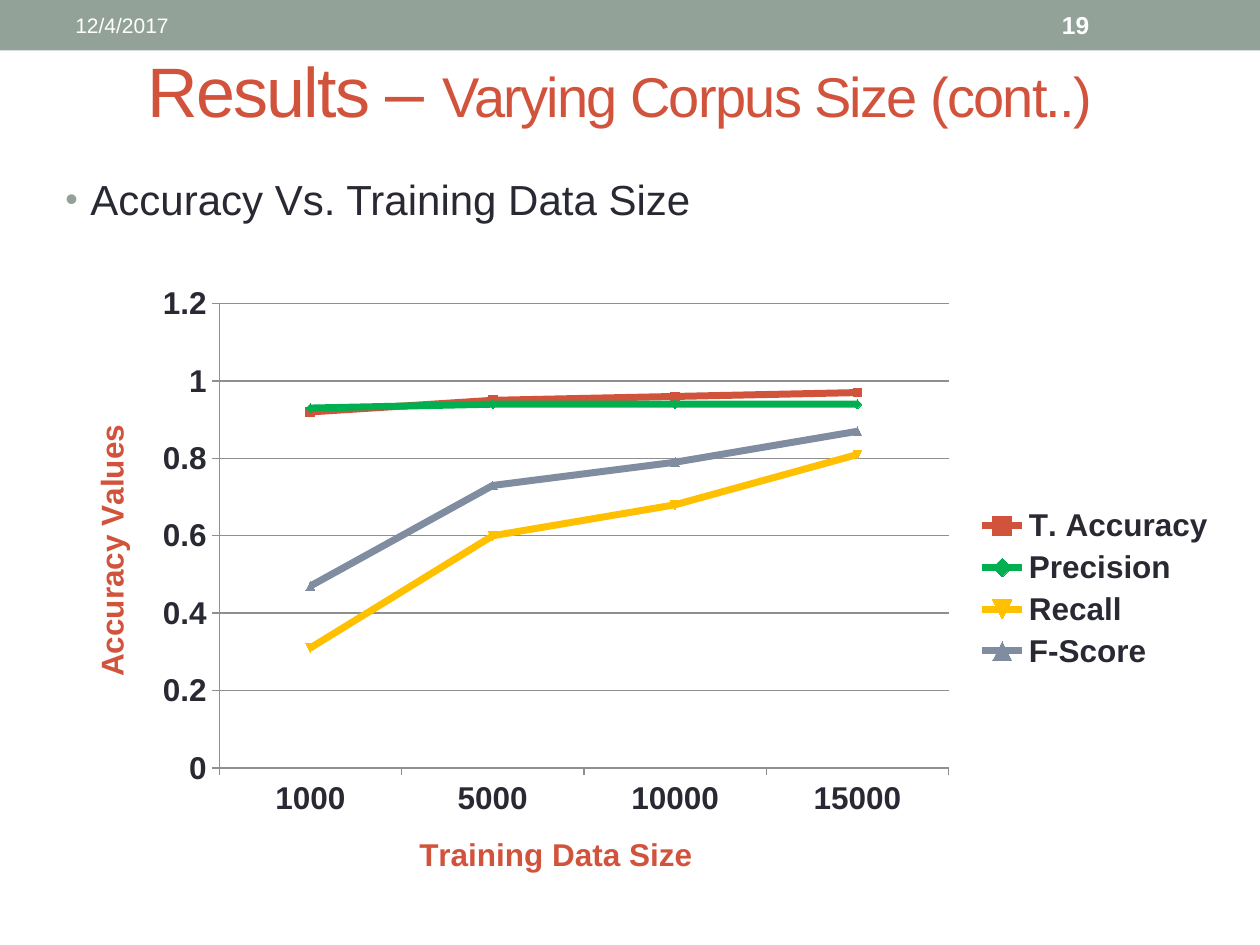
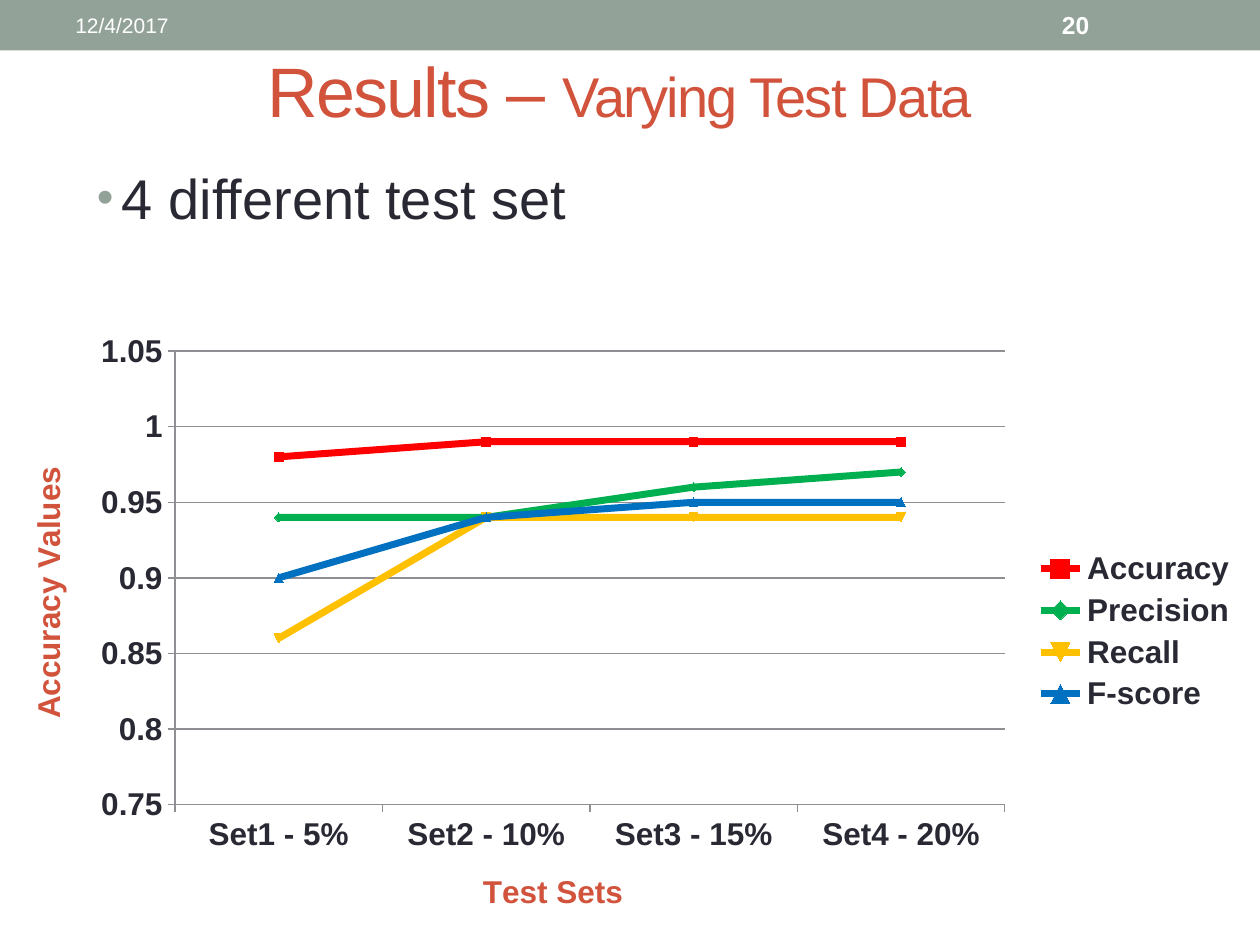
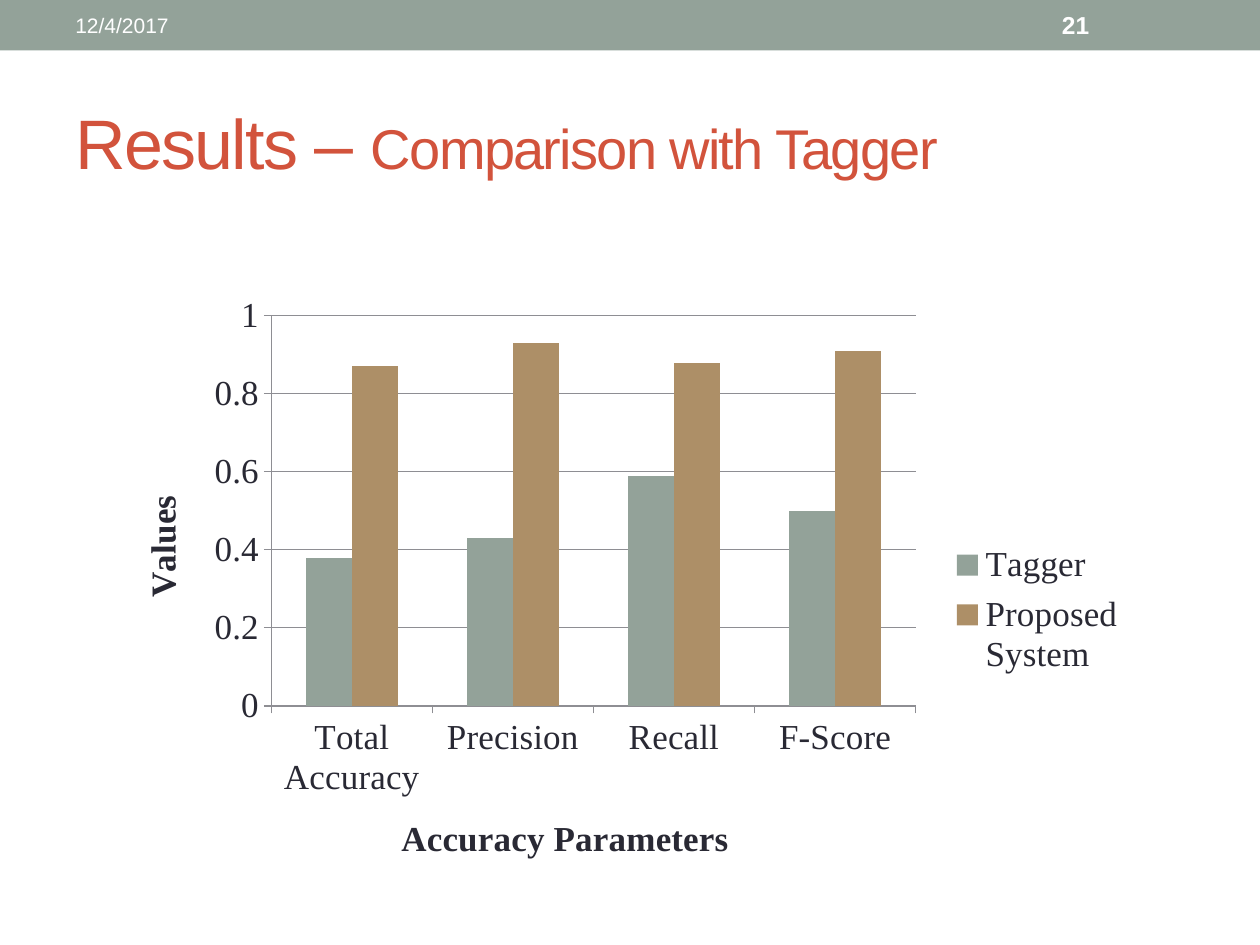
from lxml import etree
from pptx import Presentation
from pptx.chart.data import CategoryChartData
from pptx.dml.color import RGBColor
from pptx.enum.chart import XL_CHART_TYPE, XL_LEGEND_POSITION, XL_TICK_MARK
from pptx.enum.shapes import MSO_SHAPE
from pptx.enum.text import MSO_ANCHOR, PP_ALIGN
from pptx.oxml import parse_xml
from pptx.oxml.ns import nsdecls, qn
from pptx.util import Inches, Pt

SAGE = RGBColor(0x93, 0xA2, 0x99)
RUST = RGBColor(0xD2, 0x53, 0x3C)
INK = RGBColor(0x29, 0x29, 0x34)
WHITE = RGBColor(0xFF, 0xFF, 0xFF)
GREEN = RGBColor(0x00, 0xB0, 0x50)
AMBER = RGBColor(0xFF, 0xC0, 0x00)
SLATE = RGBColor(0x80, 0x8D, 0xA0)
RED = RGBColor(0xFF, 0x00, 0x00)
BLUE = RGBColor(0x00, 0x70, 0xC0)
TAN = RGBColor(0xAD, 0x8F, 0x67)
AXIS_GRAY = RGBColor(0x8E, 0x8E, 0x93)
SANS, SERIF = "Arial", "Times New Roman"
SHOW_DATE = "12/4/2017"


def style_font(font, size, color, name=SANS, bold=False):
    font.name, font.size, font.bold = name, Pt(size), bold
    font.color.rgb = color


def add_text(page, text, area, size, color, bold=False, anchor=MSO_ANCHOR.MIDDLE):
    box = page.shapes.add_textbox(*map(Inches, area))
    frame = box.text_frame
    frame.word_wrap = True
    frame.vertical_anchor = anchor
    para = frame.paragraphs[0]
    para.text = text
    style_font(para.runs[0].font, size, color, bold=bold)
    return para


def add_bullet(page, text, area, size):
    para = add_text(page, text, area, size, INK, anchor=MSO_ANCHOR.TOP)
    para.space_before = Pt(size * 0.2)
    props = para._p.get_or_add_pPr()
    props.set("marL", str(Inches(0.2)))
    props.set("indent", str(Inches(-0.2)))
    color = etree.SubElement(props, qn("a:buClr"))
    etree.SubElement(color, qn("a:srgbClr"), val=str(SAGE))
    etree.SubElement(props, qn("a:buSzPct"), val="85000")
    etree.SubElement(props, qn("a:buFont"), typeface=SANS)
    etree.SubElement(props, qn("a:buChar"), char="•")


def add_page(deck, number, topic, left=0.42, top=0.17, align=PP_ALIGN.CENTER):
    page = deck.slides.add_slide(deck.slide_layouts[5])

    # Top band with date and page number
    band = page.shapes.add_shape(MSO_SHAPE.RECTANGLE, 0, 0, deck.slide_width, Inches(0.4))
    band.shadow.inherit = False
    band.fill.solid()
    band.fill.fore_color.rgb = SAGE
    band.line.fill.background()
    add_text(page, SHOW_DATE, (0.5, 0.02, 3.17, 0.36), 12, WHITE)
    add_text(page, str(number), (8.33, 0.02, 1.17, 0.36), 14, WHITE, bold=True)

    # Title in two sizes
    title = page.shapes.title
    title.left, title.top = Inches(left), Inches(top)
    title.width, title.height = Inches(9), Inches(1.08)
    title.text_frame.vertical_anchor = MSO_ANCHOR.MIDDLE
    para = title.text_frame.paragraphs[0]
    para.alignment = align
    for text, size in (("Results – ", 40), (topic, 32)):
        span = para.add_run()
        span.text = text
        style_font(span.font, size, RUST)
        span._r.get_or_add_rPr().set("spc", "-100")
    return page


def place_part(part, area, position, target=""):
    """Fix the place of a chart part, in fractions of the chart."""
    for old in part.findall(qn("c:layout")):
        part.remove(old)
    sides = "".join(f'<c:{tag} val="{value}"/>' for tag, value in zip("xywh", area))
    part.insert(position, parse_xml(
        f'<c:layout {nsdecls("c")}><c:manualLayout>{target}'
        f'<c:xMode val="edge"/><c:yMode val="edge"/>{sides}</c:manualLayout></c:layout>'))


def style_axis(axis, title, font_name, size, color):
    axis.has_title = True
    frame = axis.axis_title.text_frame
    frame.text = title
    style_font(frame.paragraphs[0].runs[0].font, size, color, font_name, bold=True)
    axis.major_tick_mark = XL_TICK_MARK.OUTSIDE
    axis.minor_tick_mark = XL_TICK_MARK.NONE
    axis.format.line.color.rgb = AXIS_GRAY


def add_chart(page, kind, area, plot_area, categories, series, titles, scale,
              font_name=SANS, size=18, bold=True, title_color=RUST, legend_area=None):
    data = CategoryChartData()
    data.categories = categories
    for name, _, values in series:
        data.add_series(name, values)
    chart = page.shapes.add_chart(kind, *map(Inches, area), data).chart
    chart.has_title = False
    style_font(chart.font, size, INK, font_name, bold)
    chart.plots[0].vary_by_categories = False
    place_part(chart._chartSpace.chart.plotArea, plot_area, 0,
               '<c:layoutTarget val="inner"/>')

    # Legend
    chart.has_legend = True
    chart.legend.position = XL_LEGEND_POSITION.RIGHT
    chart.legend.include_in_layout = False
    if legend_area:
        place_part(chart.legend._element, legend_area, 1)

    # Axes
    for axis, title in zip((chart.category_axis, chart.value_axis), titles):
        style_axis(axis, title, font_name, size, title_color)
    values_axis = chart.value_axis
    values_axis.minimum_scale, values_axis.maximum_scale, values_axis.major_unit = scale
    values_axis.tick_labels.number_format = "General"
    values_axis.tick_labels.number_format_is_linked = False
    values_axis.has_major_gridlines = True
    values_axis.major_gridlines.format.line.color.rgb = AXIS_GRAY

    # Series
    for line_or_bar, (_, color, _) in zip(chart.plots[0].series, series):
        if kind == XL_CHART_TYPE.LINE_MARKERS:
            line_or_bar.smooth = False
            line_or_bar.format.line.color.rgb = color
            line_or_bar.format.line.width = Pt(4)
            marker = line_or_bar.marker
            marker.size = 5
            fill = marker.format.fill
            marker.format.line.color.rgb = color
        else:
            fill = line_or_bar.format.fill
        fill.solid()
        fill.fore_color.rgb = color
    return chart


def main():
    deck = Presentation()
    deck.slide_width, deck.slide_height = Inches(10), Inches(7.5)

    # Corpus size
    page = add_page(deck, 19, "Varying Corpus Size (cont..)")
    add_bullet(page, "Accuracy Vs. Training Data Size", (0.42, 1.33, 8.1, 0.58), 24)
    add_chart(page, XL_CHART_TYPE.LINE_MARKERS, (0.5, 2.17, 9.25, 5),
              (0.134, 0.048, 0.626, 0.737), ["1000", "5000", "10000", "15000"],
              [("T. Accuracy", RUST, (0.92, 0.95, 0.96, 0.97)),
               ("Precision", GREEN, (0.93, 0.94, 0.94, 0.94)),
               ("Recall", AMBER, (0.31, 0.6, 0.68, 0.81)),
               ("F-Score", SLATE, (0.47, 0.73, 0.79, 0.87))],
              ("Training Data Size", "Accuracy Values"), (0, 1.2, 0.2))

    # Test data
    page = add_page(deck, 20, "Varying Test Data")
    add_bullet(page, "4 different test set", (0.67, 1.25, 8.1, 3.77), 32)
    add_chart(page, XL_CHART_TYPE.LINE_MARKERS, (0, 2.55, 9.92, 4.92),
              (0.14, 0.048, 0.664, 0.732),
              ["Set1 - 5%", "Set2 - 10%", "Set3 - 15%", "Set4 - 20%"],
              [("Accuracy", RED, (0.98, 0.99, 0.99, 0.99)),
               ("Precision", GREEN, (0.94, 0.94, 0.96, 0.97)),
               ("Recall", AMBER, (0.86, 0.94, 0.94, 0.94)),
               ("F-score", BLUE, (0.9, 0.94, 0.95, 0.95))],
              ("Test Sets", "Accuracy Values"), (0.75, 1.05, 0.05))

    # Comparison
    page = add_page(deck, 21, "Comparison with Tagger", 0.5, 0.58, PP_ALIGN.LEFT)
    chart = add_chart(page, XL_CHART_TYPE.COLUMN_CLUSTERED, (0.92, 2.25, 8.17, 4.75),
                      (0.151, 0.054, 0.626, 0.652),
                      ["Total Accuracy", "Precision", "Recall", "F-Score"],
                      [("Tagger", SAGE, (0.38, 0.43, 0.59, 0.5)),
                       ("Proposed System", TAN, (0.87, 0.93, 0.88, 0.91))],
                      ("Accuracy Parameters", "Values"), (0, 1, 0.2),
                      font_name=SERIF, size=20, bold=False, title_color=INK,
                      legend_area=(0.8, 0.42, 0.19, 0.25))
    chart.plots[0].gap_width = 150

    deck.save("out.pptx")


if __name__ == "__main__":
    main()
